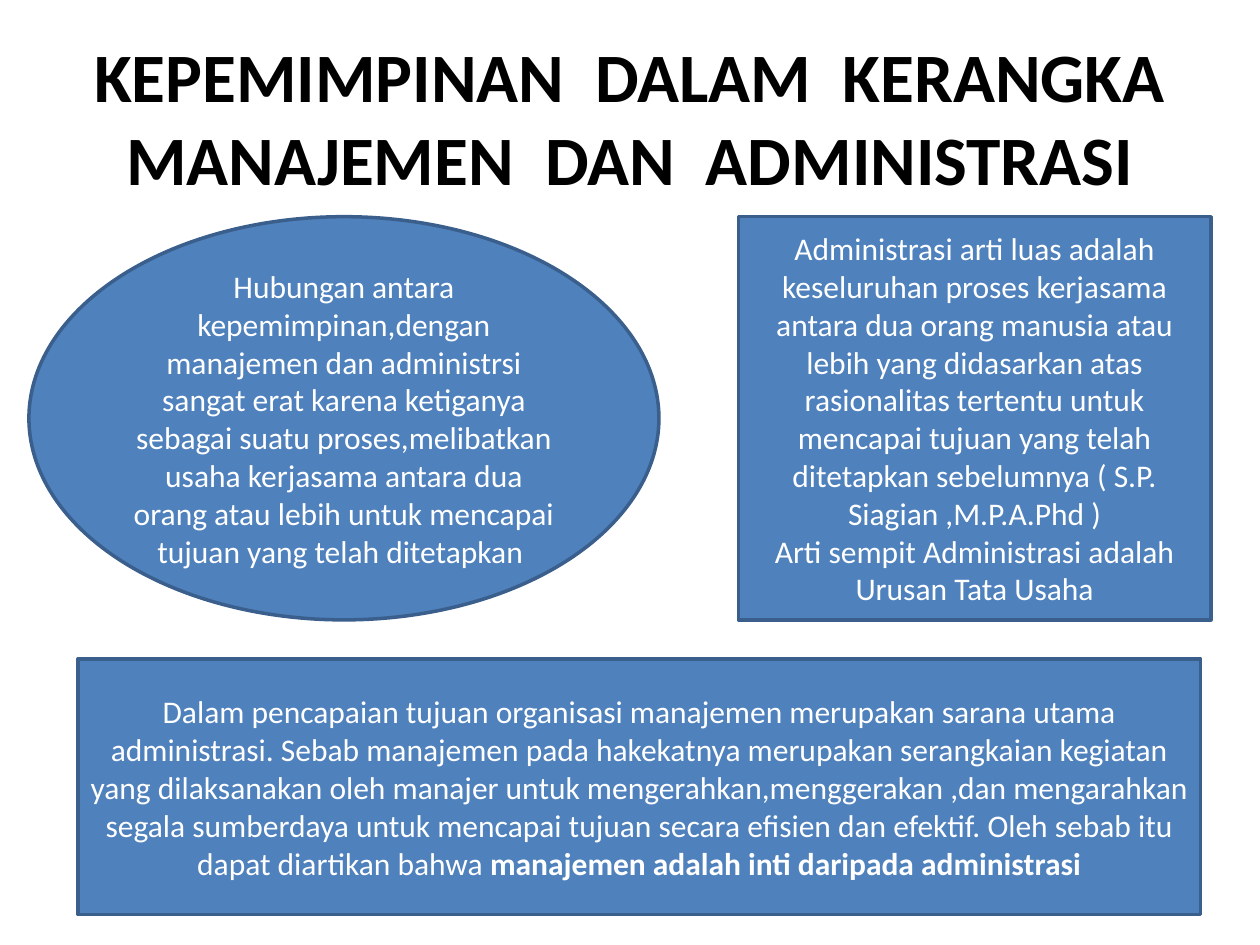
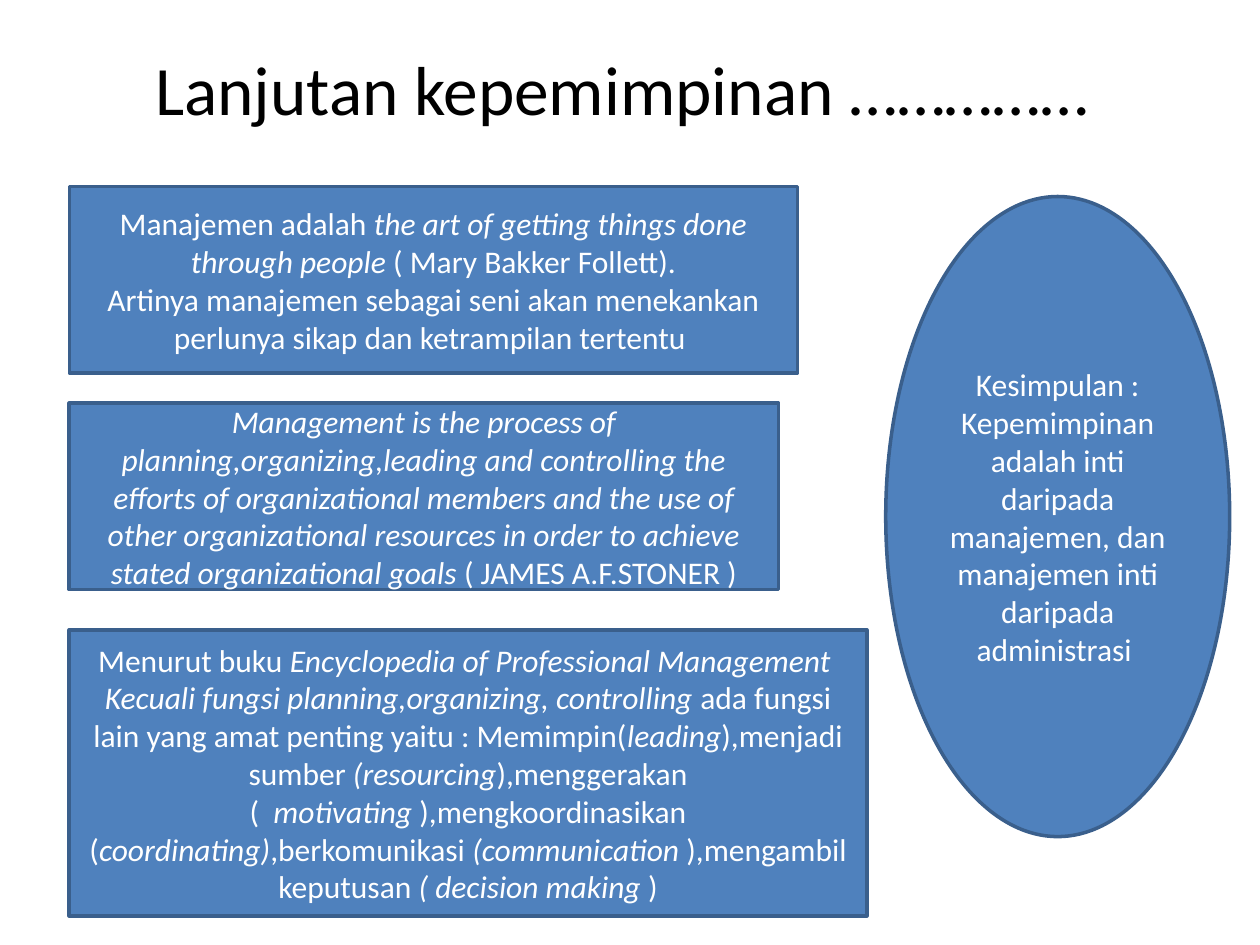
from pptx import Presentation
from pptx.dml.color import RGBColor
from pptx.enum.shapes import MSO_SHAPE
from pptx.enum.text import MSO_ANCHOR, MSO_AUTO_SIZE, PP_ALIGN
from pptx.util import Inches, Pt

FONT = "Calibri"
COLORS = {"title": "000000", "fill": "4F81BD", "line": "3A5F8C", "text": "FFFFFF"}
KINDS = {"oval": MSO_SHAPE.OVAL, "box": MSO_SHAPE.RECTANGLE}

# Each paragraph is a list of (text, style) runs
PLAIN, BOLD, ITALIC = "plain", "bold", "italic"

TOP_ROW, TOP_HEIGHT = 1.72, 3.2
QUOTE_LEFT, QUOTE_HEIGHT = 0.55, 1.48

SLIDES = [
    {
        "title": "KEPEMIMPINAN  DALAM  KERANGKA MANAJEMEN  DAN  ADMINISTRASI",
        "title_bold": True,
        "title_height": 1.25,
        "panels": [
            ("oval", (0.23, TOP_ROW, 5, TOP_HEIGHT), [
                [("Hubungan antara kepemimpinan,dengan manajemen dan administrsi sangat erat "
                  "karena ketiganya sebagai suatu proses,melibatkan usaha kerjasama antara dua "
                  "orang atau lebih untuk mencapai tujuan yang telah ditetapkan ", PLAIN)],
            ]),
            ("box", (0.62, 5.23, 8.91, 2.03), [
                [("Dalam pencapaian tujuan organisasi manajemen merupakan sarana utama "
                  "administrasi. Sebab manajemen pada hakekatnya merupakan serangkaian kegiatan "
                  "yang dilaksanakan oleh manajer untuk mengerahkan,menggerakan ,dan mengarahkan "
                  "segala sumberdaya untuk mencapai tujuan secara efisien dan efektif. "
                  "Oleh sebab itu dapat diartikan bahwa ", PLAIN),
                 ("manajemen adalah inti daripada administrasi", BOLD)],
            ]),
            ("box", (5.86, TOP_ROW, 3.75, TOP_HEIGHT), [
                [("Administrasi arti luas adalah keseluruhan proses kerjasama antara dua orang "
                  "manusia atau lebih yang didasarkan atas rasionalitas tertentu untuk mencapai "
                  "tujuan yang telah ditetapkan sebelumnya ( S.P. Siagian ,M.P.A.Phd )", PLAIN)],
                [("Arti sempit Administrasi adalah Urusan Tata Usaha", PLAIN)],
            ]),
        ],
    },
    {
        "title": "Lanjutan kepemimpinan …………… ",
        "title_bold": False,
        "title_height": 0.79,
        "panels": [
            ("box", (QUOTE_LEFT, 1.48, 5.78, QUOTE_HEIGHT), [
                [("Manajemen adalah ", PLAIN),
                 ("the art of getting things done through people", ITALIC),
                 (" ( Mary Bakker Follett).", PLAIN)],
                [("Artinya manajemen sebagai seni akan menekankan perlunya sikap dan "
                  "ketrampilan tertentu ", PLAIN)],
            ]),
            ("box", (QUOTE_LEFT, 3.2, 5.63, QUOTE_HEIGHT), [
                [("Management is the process of planning,organizing,leading and controlling the "
                  "efforts of organizational members and the use of other organizational "
                  "resources in order to achieve stated organizational goals", ITALIC),
                 (" ( JAMES A.F.STONER )", PLAIN)],
            ]),
            ("box", (QUOTE_LEFT, 5, 6.33, 2.27), [
                [("Menurut buku ", PLAIN),
                 ("Encyclopedia of Professional Management ", ITALIC)],
                [("Kecuali fungsi planning,organizing, controlling ", ITALIC),
                 ("ada fungsi lain yang amat penting yaitu : Memimpin(", PLAIN),
                 ("leading", ITALIC),
                 ("),menjadi sumber ", PLAIN),
                 ("(resourcing", ITALIC),
                 ("),menggerakan (  ", PLAIN),
                 ("motivating ", ITALIC),
                 ("),mengkoordinasikan (", PLAIN),
                 ("coordinating)", ITALIC),
                 (",berkomunikasi ", PLAIN),
                 ("(communication ", ITALIC),
                 ("),mengambil keputusan ", PLAIN),
                 ("( decision making ", ITALIC),
                 (")", PLAIN)],
            ]),
            ("oval", (7.03, 1.56, 2.73, 5.08), [
                [("Kesimpulan : Kepemimpinan adalah inti daripada manajemen, dan manajemen inti "
                  "daripada administrasi ", PLAIN)],
            ]),
        ],
    },
]


def color(name):
    return RGBColor.from_string(COLORS[name])


def format_run(run, size, color_name, bold=False, italic=False):
    run.font.name = FONT
    run.font.size = Pt(size)
    run.font.color.rgb = color(color_name)
    run.font.bold = bold
    run.font.italic = italic


def set_title(slide, text, bold, height):
    title = slide.shapes.title
    title.left, title.top = Inches(0.5), Inches(0.3)
    title.width, title.height = Inches(9), Inches(height)
    text_frame = title.text_frame
    text_frame.text = text
    text_frame.auto_size = MSO_AUTO_SIZE.NONE
    text_frame.vertical_anchor = MSO_ANCHOR.MIDDLE
    paragraph = text_frame.paragraphs[0]
    paragraph.alignment = PP_ALIGN.CENTER
    format_run(paragraph.runs[0], 39.6, "title", bold=bold)


def add_panel(slide, kind, place, paragraphs):
    shape = slide.shapes.add_shape(KINDS[kind], *map(Inches, place))
    shape.shadow.inherit = False
    shape.fill.solid()
    shape.fill.fore_color.rgb = color("fill")
    shape.line.color.rgb = color("line")
    shape.line.width = Pt(2)
    text_frame = shape.text_frame
    text_frame.word_wrap = True
    text_frame.vertical_anchor = MSO_ANCHOR.MIDDLE
    for index, runs in enumerate(paragraphs):
        paragraph = text_frame.add_paragraph() if index else text_frame.paragraphs[0]
        paragraph.alignment = PP_ALIGN.CENTER
        for text, style in runs:
            run = paragraph.add_run()
            run.text = text
            format_run(run, 18, "text", bold=style == BOLD, italic=style == ITALIC)


def main():
    presentation = Presentation()
    presentation.slide_width, presentation.slide_height = Inches(10), Inches(7.5)
    title_only = presentation.slide_layouts[5]
    for content in SLIDES:
        slide = presentation.slides.add_slide(title_only)
        set_title(slide, content["title"], content["title_bold"], content["title_height"])
        for kind, place, paragraphs in content["panels"]:
            add_panel(slide, kind, place, paragraphs)
    presentation.save("out.pptx")


if __name__ == "__main__":
    main()
